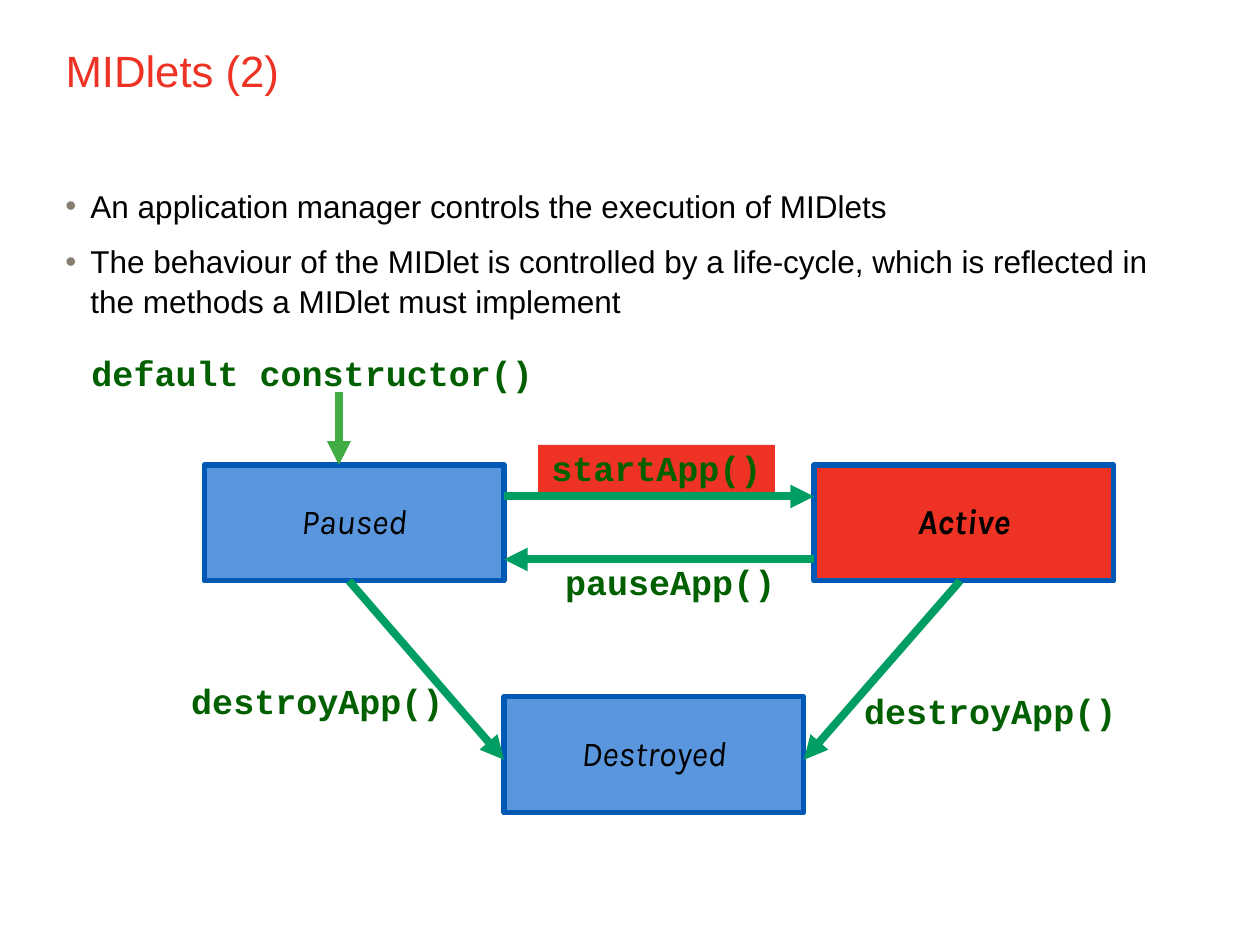
"""Build the MIDlet life-cycle slide."""
from lxml import etree
from pptx import Presentation
from pptx.dml.color import RGBColor
from pptx.enum.shapes import MSO_CONNECTOR, MSO_SHAPE
from pptx.enum.text import MSO_ANCHOR, PP_ALIGN
from pptx.oxml.ns import qn
from pptx.util import Inches, Pt

RECTANGLE = MSO_SHAPE.RECTANGLE
STRAIGHT = MSO_CONNECTOR.STRAIGHT
TOP, MIDDLE = MSO_ANCHOR.TOP, MSO_ANCHOR.MIDDLE
LEFT, CENTER = PP_ALIGN.LEFT, PP_ALIGN.CENTER

BLACK = RGBColor(0x00, 0x00, 0x00)
RED = RGBColor(0xEE, 0x32, 0x24)
BLUE = RGBColor(0x5A, 0x96, 0xDE)
DARK_BLUE = RGBColor(0x00, 0x59, 0xB5)
CODE_GREEN = RGBColor(0x00, 0x60, 0x00)
ARROW_GREEN = RGBColor(0x00, 0x9E, 0x63)
LIGHT_GREEN = RGBColor(0x40, 0xAC, 0x43)
BULLET_COLOR = "887E6E"

STATE_WIDTH, STATE_HEIGHT = 2.38, 0.92
LABEL_HEIGHT = 0.41
STATE_TOP, DESTROYED_TOP = 3.69, 5.53
PAUSED_LEFT, DESTROYED_LEFT, ACTIVE_LEFT = 1.62, 4, 6.46
STATE_BOTTOM = STATE_TOP + STATE_HEIGHT
PAUSED_RIGHT = PAUSED_LEFT + STATE_WIDTH
DESTROYED_RIGHT = DESTROYED_LEFT + STATE_WIDTH
START_Y, PAUSE_Y, DESTROY_Y = 3.94, 4.44, 6.03


class LifeCycleSlide:
    """Hold the style and the current slide."""

    def __init__(self, deck):
        self.page = deck.slides.add_slide(deck.slide_layouts[5])
        self.body_font, self.state_font, self.code_font = "Arial", "Karla", "Courier New"

    def style(self, para, font, size, color, bold=False, italic=False):
        for span in para.runs:
            span.font.name = font
            span.font.size = Pt(size)
            span.font.color.rgb = color
            span.font.bold = bold
            span.font.italic = italic

    def title(self, text):
        box = self.page.shapes.title
        box.left, box.top, box.width, box.height = map(Inches, (0.42, 0.3, 9, 1.01))
        frame = box.text_frame
        frame.text = text
        frame.vertical_anchor = TOP
        para = frame.paragraphs[0]
        para.alignment = LEFT
        self.style(para, self.body_font, 25, RED)

    def bullets(self, lines):
        box = self.page.shapes.add_textbox(*map(Inches, (0.42, 1.42, 9, 5.32)))
        frame = box.text_frame
        frame.word_wrap = True
        frame.text = "\n".join(lines)
        for para in frame.paragraphs:
            para.space_before = Pt(9)
            para.line_spacing = 1.05
            self.style(para, self.body_font, 18, BLACK)
            props = para._p.get_or_add_pPr()
            props.set("marL", str(Inches(0.2)))
            props.set("indent", str(-Inches(0.2)))
            color = etree.SubElement(props, qn("a:buClr"))
            etree.SubElement(color, qn("a:srgbClr"), val=BULLET_COLOR)
            etree.SubElement(props, qn("a:buFont"), typeface="Arial")
            etree.SubElement(props, qn("a:buChar"), char="•")

    def centered(self, box, text, anchor):
        frame = box.text_frame
        frame.word_wrap = False
        frame.vertical_anchor = anchor
        frame.text = text
        para = frame.paragraphs[0]
        para.alignment = CENTER
        para.line_spacing = 0.9
        return para

    def rectangle(self, left, top, width, height, fill):
        box = self.page.shapes.add_shape(RECTANGLE, *map(Inches, (left, top, width, height)))
        box.shadow.inherit = False
        box.fill.solid()
        box.fill.fore_color.rgb = fill
        return box

    def state(self, text, left, top, fill=BLUE, bold=False):
        box = self.rectangle(left, top, STATE_WIDTH, STATE_HEIGHT, fill)
        box.line.color.rgb = DARK_BLUE
        box.line.width = Pt(3)
        para = self.centered(box, text, MIDDLE)
        self.style(para, self.state_font, 20, BLACK, bold, italic=True)

    def label(self, text, left, top, width, fill=None):
        if fill is None:
            box = self.page.shapes.add_textbox(*map(Inches, (left, top, width, LABEL_HEIGHT)))
        else:
            box = self.rectangle(left, top, width, LABEL_HEIGHT, fill)
            box.line.fill.background()
        para = self.centered(box, text, TOP)
        self.style(para, self.code_font, 20, CODE_GREEN, bold=True)

    def arrow(self, start, tip, color=ARROW_GREEN):
        line = self.page.shapes.add_connector(STRAIGHT, *map(Inches, start + tip))
        line.line.color.rgb = color
        line.line.width = Pt(4.5)
        etree.SubElement(line.line._get_or_add_ln(), qn("a:tailEnd"), type="triangle")
        etree.SubElement(line._element.spPr, qn("a:effectLst"))


def main():
    deck = Presentation()
    deck.slide_width, deck.slide_height = Inches(10), Inches(7.5)
    slide = LifeCycleSlide(deck)
    slide.title("MIDlets (2)")
    slide.bullets([
        "An application manager controls the execution of MIDlets",
        "The behaviour of the MIDlet is controlled by a life-cycle, "
        "which is reflected in the methods a MIDlet must implement",
    ])

    slide.state("Destroyed", DESTROYED_LEFT, DESTROYED_TOP)
    slide.state("Paused", PAUSED_LEFT, STATE_TOP)
    slide.state("Active", ACTIVE_LEFT, STATE_TOP, RED, bold=True)

    slide.label("startApp()", 4.27, 3.53, 1.88, RED)
    slide.label("pauseApp()", 4.38, 4.44, 1.88)
    slide.label("destroyApp()", 1.41, 5.38, 2.22)
    slide.label("destroyApp()", 6.75, 5.46, 2.22)

    slide.arrow((PAUSED_RIGHT, START_Y), (ACTIVE_LEFT, START_Y))
    slide.arrow((ACTIVE_LEFT, PAUSE_Y), (PAUSED_RIGHT, PAUSE_Y))
    slide.arrow((7.62, STATE_BOTTOM), (DESTROYED_RIGHT, DESTROY_Y))
    slide.arrow((2.77, STATE_BOTTOM), (DESTROYED_LEFT, DESTROY_Y))

    slide.label("default constructor()", 0.61, 2.78, 3.74)
    slide.arrow((2.69, 3.11), (2.69, STATE_TOP), LIGHT_GREEN)
    deck.save("out.pptx")


if __name__ == "__main__":
    main()
